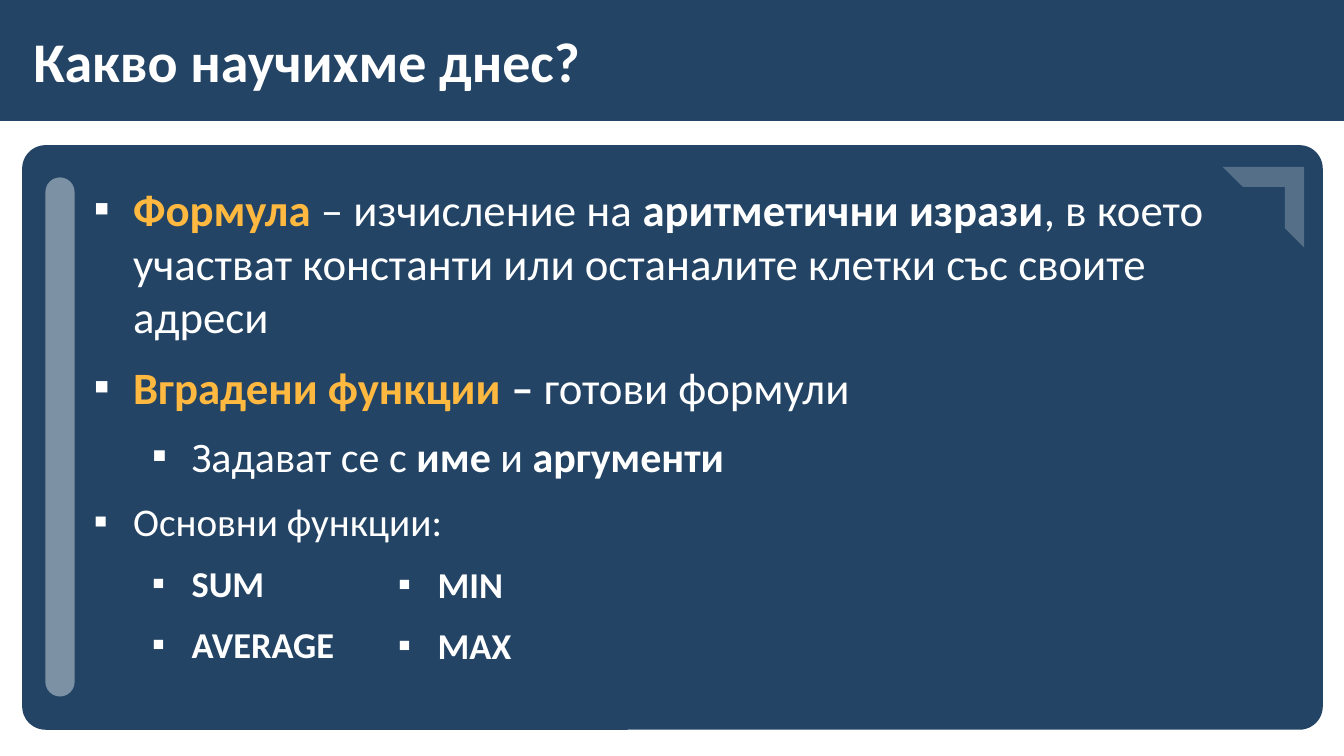
"""Builds the lesson summary slide about formulas and built-in functions."""
from lxml import etree
from pptx import Presentation
from pptx.dml.color import RGBColor
from pptx.enum.shapes import MSO_SHAPE
from pptx.enum.text import MSO_ANCHOR, MSO_AUTO_SIZE, PP_ALIGN
from pptx.oxml.ns import qn
from pptx.util import Inches, Pt

NAVY = RGBColor(0x23, 0x44, 0x65)
WHITE = RGBColor(0xFF, 0xFF, 0xFF)
AMBER = RGBColor(0xFF, 0xB8, 0x40)
RECTANGLE = MSO_SHAPE.RECTANGLE
ROUNDED = MSO_SHAPE.ROUNDED_RECTANGLE
HALF_FRAME = MSO_SHAPE.HALF_FRAME
TOP, MIDDLE = MSO_ANCHOR.TOP, MSO_ANCHOR.MIDDLE
NO_FIT = MSO_AUTO_SIZE.NONE
LEFT = PP_ALIGN.LEFT
FONT = "Calibri"
BULLET = "▪"
HANGING = 0.39
LEVEL_INDENTS = (0.39, 0.97)
PLAIN, BOLD, TERM = (WHITE, False), (WHITE, True), (AMBER, True)

TITLE = [(0, 40, [("Какво научихме днес?", BOLD)])]
SUMMARY = [
    (0, 32, [("Формула", TERM), (" – изчисление на ", PLAIN),
             ("аритметични изрази", BOLD),
             (", в което участват константи или останалите клетки "
              "със своите адреси", PLAIN)]),
    (0, 32, [("Вградени функции ", TERM), ("– ", BOLD),
             ("готови формули", PLAIN)]),
    (1, 30, [("Задават се с ", PLAIN), ("име ", BOLD), ("и", PLAIN),
             (" аргументи", BOLD)]),
    (0, 28, [("Основни функции:", PLAIN)]),
    (1, 26, [("SUM", BOLD)]),
    (1, 26, [("AVERAGE", BOLD)]),
]
MORE_FUNCTIONS = [(0, 26, [(name, BOLD)]) for name in ("MIN", "MAX")]


def place(shape, left, top, width, height):
    """Move and size a shape, in inches."""
    shape.left, shape.top = Inches(left), Inches(top)
    shape.width, shape.height = Inches(width), Inches(height)


def add_panel(page, kind, area, color, adjustments=(), opacity=None, rotation=0):
    """Add a filled shape without outline or shadow."""
    panel = page.shapes.add_shape(kind, *map(Inches, area))
    panel.shadow.inherit = False
    panel.fill.solid()
    panel.fill.fore_color.rgb = color
    panel.line.fill.background()
    panel.rotation = rotation
    for index, value in enumerate(adjustments):
        panel.adjustments[index] = value
    if opacity is not None:
        tint = panel._element.spPr.find(qn("a:solidFill"))[0]
        etree.SubElement(tint, qn("a:alpha"), val=str(opacity * 1000))


def add_bullet(para, level):
    """Give a paragraph a white square bullet and a hanging indent."""
    properties = para._p.get_or_add_pPr()
    properties.set("marL", str(Inches(LEVEL_INDENTS[level])))
    properties.set("indent", str(-Inches(HANGING)))
    color = etree.SubElement(properties, qn("a:buClr"))
    etree.SubElement(color, qn("a:srgbClr"), val=str(WHITE))
    etree.SubElement(properties, qn("a:buFont"), typeface=FONT)
    etree.SubElement(properties, qn("a:buChar"), char=BULLET)


def write(box, paragraphs, anchor=TOP, bulleted=True):
    """Fill a box with paragraphs given as level, size and styled spans."""
    frame = box.text_frame
    frame.word_wrap = True
    frame.auto_size = NO_FIT
    frame.vertical_anchor = anchor
    frame.margin_left = frame.margin_right = Inches(0.12)
    frame.margin_top = frame.margin_bottom = Inches(0.04)
    for index, (level, size, spans) in enumerate(paragraphs):
        para = frame.add_paragraph() if index else frame.paragraphs[0]
        if bulleted:
            add_bullet(para, level)
        para.level = level
        para.alignment = LEFT
        para.line_spacing = 1.0
        para.space_before = Pt(6 if index else 0)
        para.space_after = Pt(6 if bulleted else 0)
        for text, (color, bold) in spans:
            span = para.add_run()
            span.text = text
            span.font.name = FONT
            span.font.size = Pt(size)
            span.font.bold = bold
            span.font.color.rgb = color


def main():
    """Build the slide and save it."""
    deck = Presentation()
    deck.slide_width, deck.slide_height = Inches(13.33), Inches(7.5)
    page = deck.slides.add_slide(deck.slide_layouts[1])
    title, body = page.shapes.title, page.placeholders[1]

    add_panel(page, RECTANGLE, (0, 0, 13.33, 1.2), NAVY)
    add_panel(page, ROUNDED, (0.22, 1.44, 12.9, 5.8), NAVY, (0.04,))
    add_panel(page, ROUNDED, (0.45, 1.76, 0.29, 5.15), WHITE, (0.5,), opacity=41)
    add_panel(page, HALF_FRAME, (12.13, 1.65, 0.8, 0.81), WHITE, (0.24, 0.25),
              opacity=23, rotation=90)
    for placeholder in (title, body):
        page.shapes._spTree.append(placeholder._element)

    place(title, 0.21, 0.11, 11.23, 0.97)
    write(title, TITLE, anchor=MIDDLE, bulleted=False)
    place(body, 0.81, 1.76, 12.07, 5.35)
    write(body, SUMMARY)
    second_column = page.shapes.add_textbox(*map(Inches, (3.83, 5.54, 3.43, 1.07)))
    write(second_column, MORE_FUNCTIONS)
    deck.save("out.pptx")


if __name__ == "__main__":
    main()
